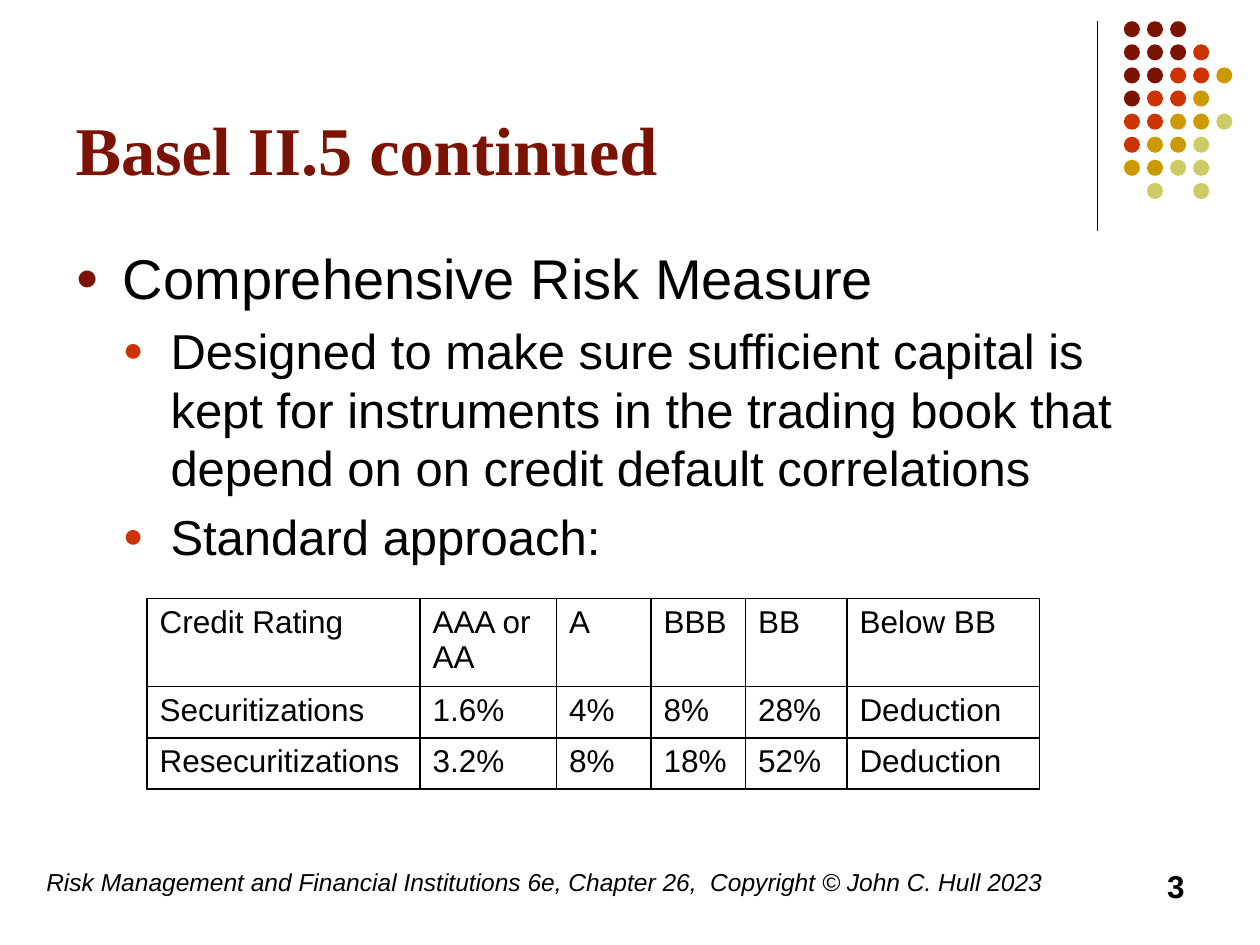
from lxml import etree
from pptx import Presentation
from pptx.dml.color import RGBColor
from pptx.enum import shapes, text
from pptx.oxml import ns
from pptx.util import Pt

BLACK = RGBColor(0x00, 0x00, 0x00)
MAROON = RGBColor(0x7C, 0x13, 0x02)
RED = RGBColor(0xCC, 0x33, 0x00)
GOLD = RGBColor(0xCC, 0x99, 0x00)
OLIVE = RGBColor(0xCC, 0xCC, 0x66)

DOT_COLORS = {"M": MAROON, "R": RED, "G": GOLD, "O": OLIVE}
DOT_ROWS = ["MMM", "MMMR", "MMRRG", "MRRG", "RRGGO", "RGGO", "GGOO", " O O"]

BULLETS = [
    (0, "Comprehensive Risk Measure"),
    (1, "Designed to make sure sufficient capital is kept for instruments in "
        "the trading book that depend on on credit default correlations"),
    (1, "Standard approach:"),
]
BULLET_LEVELS = [(32, MAROON), (28, RED)]
INDENT = Pt(27.2)

COLUMN_WIDTHS = [156, 78, 54, 54, 58, 110]
ROW_HEIGHTS = [50.4, 29.2, 29.2]
CAPITAL_CHARGES = [
    ["Credit Rating", "AAA or AA", "A", "BBB", "BB", "Below BB"],
    ["Securitizations", "1.6%", "4%", "8%", "28%", "Deduction"],
    ["Resecuritizations", "3.2%", "8%", "18%", "52%", "Deduction"],
]


def sub(parent, tag, **attrs):
    return etree.SubElement(parent, ns.qn(tag), attrs)


def write(p, content, size, font="Arial", color=BLACK, bold=False,
          italic=False, align=text.PP_ALIGN.LEFT):
    p.alignment = align
    r = p.add_run()
    r.text = content
    r.font.name = font
    r.font.size = Pt(size)
    r.font.color.rgb = color
    r.font.bold = bold
    r.font.italic = italic


def add_box(s, left, top, width, height):
    sp = s.shapes.add_textbox(Pt(left), Pt(top), Pt(width), Pt(height))
    tf = sp.text_frame
    tf.word_wrap = True
    return tf


def add_title(s, content):
    sp = s.shapes.title
    sp.left, sp.top, sp.width, sp.height = Pt(36), Pt(9.4), Pt(594), Pt(102.2)
    tf = sp.text_frame
    tf.vertical_anchor = text.MSO_ANCHOR.BOTTOM
    write(tf.paragraphs[0], content, 39, font="Times New Roman",
          color=MAROON, bold=True)


def add_divider(s):
    ln = s.shapes.add_connector(shapes.MSO_CONNECTOR.STRAIGHT,
                                Pt(627), Pt(12), Pt(627), Pt(132))
    ln.line.color.rgb = BLACK
    ln.line.width = Pt(0.75)
    sub(ln._element.spPr, "a:effectLst")


def add_dots(s, left=642.2, top=12.1, pitch=13.2, size=9.2):
    group = s.shapes.add_group_shape()
    for i, row in enumerate(DOT_ROWS):
        for j, key in enumerate(row):
            if key not in DOT_COLORS:
                continue
            sp = group.shapes.add_shape(
                shapes.MSO_SHAPE.OVAL, Pt(left + j * pitch),
                Pt(top + i * pitch), Pt(size), Pt(size))
            sp.shadow.inherit = False
            sp.fill.solid()
            sp.fill.fore_color.rgb = DOT_COLORS[key]
            sp.line.fill.background()


def set_bullet(p, level, color):
    pPr = p._p.get_or_add_pPr()
    pPr.set("marL", str(INDENT * (level + 1)))
    pPr.set("indent", str(-INDENT))
    sub(sub(pPr, "a:buClr"), "a:srgbClr", val=str(color))
    sub(pPr, "a:buSzPct", val="70000")
    sub(pPr, "a:buFont", typeface="Arial")
    sub(pPr, "a:buChar", char="●")


def add_bullets(s):
    tf = add_box(s, 36, 135.4, 648, 347)
    for i, (level, content) in enumerate(BULLETS):
        p = tf.add_paragraph() if i else tf.paragraphs[0]
        size, color = BULLET_LEVELS[level]
        p.level = level
        set_bullet(p, level, color)
        if i:
            p.space_before = Pt(size * 0.2)
        write(p, content, size)


def set_borders(cell):
    tcPr = cell._tc.get_or_add_tcPr()
    for side in ("a:lnL", "a:lnR", "a:lnT", "a:lnB"):
        ln = sub(tcPr, side, w=str(Pt(1)))
        sub(sub(ln, "a:solidFill"), "a:srgbClr", val=str(BLACK))


def add_charges_table(s):
    frame = s.shapes.add_table(
        len(ROW_HEIGHTS), len(COLUMN_WIDTHS), Pt(84), Pt(342),
        Pt(sum(COLUMN_WIDTHS)), Pt(sum(ROW_HEIGHTS)))
    table = frame.table
    table.first_row = False
    table.horz_banding = False
    for column, width in zip(table.columns, COLUMN_WIDTHS):
        column.width = Pt(width)
    for row, height, values in zip(table.rows, ROW_HEIGHTS, CAPITAL_CHARGES):
        row.height = Pt(height)
        for cell, value in zip(row.cells, values):
            set_borders(cell)
            cell.fill.background()
            write(cell.text_frame.paragraphs[0], value, 18)


def main():
    prs = Presentation()
    prs.slide_width, prs.slide_height = Pt(720), Pt(540)
    s = prs.slides.add_slide(prs.slide_layouts[5])
    add_divider(s)
    add_dots(s)
    add_title(s, "Basel II.5 continued")
    add_bullets(s)
    footer = add_box(s, 19.4, 492, 595.4, 36)
    write(footer.paragraphs[0],
          "Risk Management and Financial Institutions 6e, Chapter 26,  "
          "Copyright © John C. Hull 2023", 14, italic=True)
    number = add_box(s, 516, 492, 168, 36)
    write(number.paragraphs[0], "3", 18, bold=True,
          align=text.PP_ALIGN.RIGHT)
    add_charges_table(s)
    prs.save("out.pptx")


if __name__ == "__main__":
    main()
